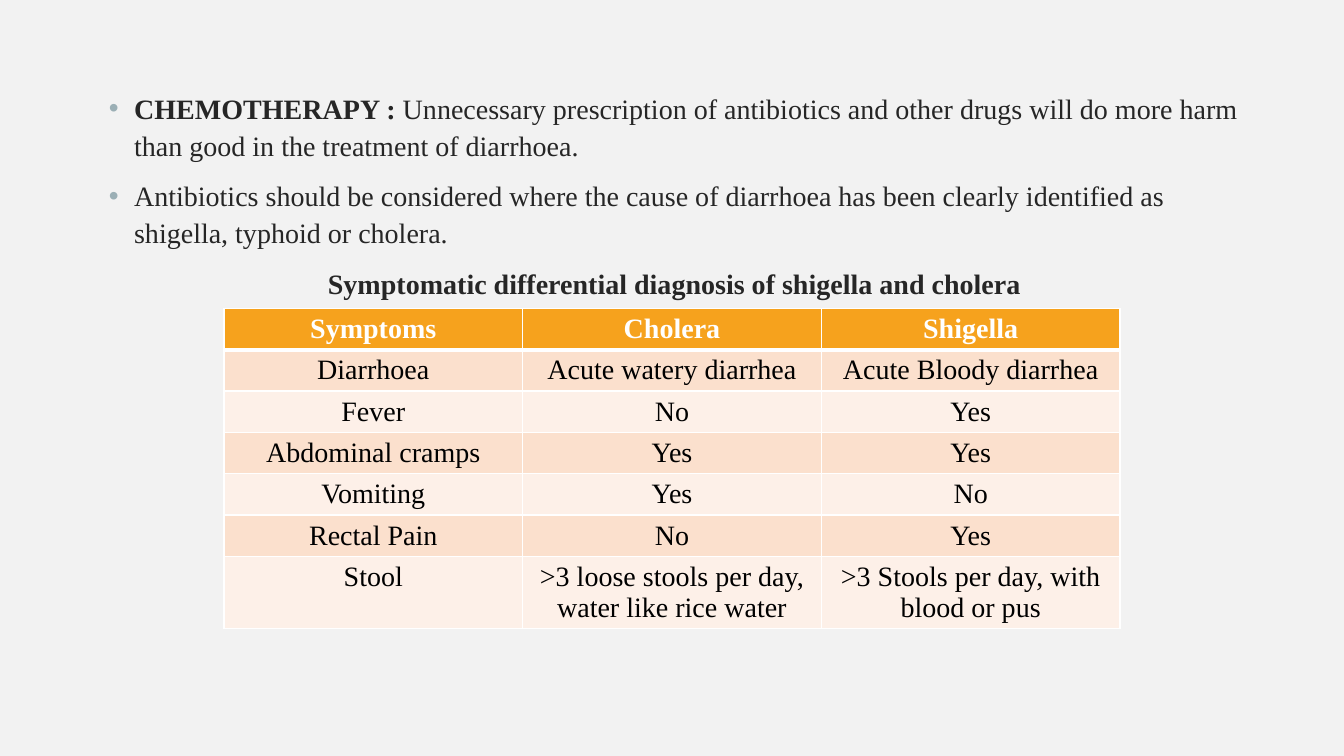
from lxml.etree import SubElement
from pptx import Presentation
from pptx.dml.color import RGBColor
from pptx.enum.text import MSO_ANCHOR, MSO_AUTO_SIZE, PP_ALIGN
from pptx.oxml.ns import qn
from pptx.util import Inches, Pt

BACKGROUND = RGBColor(0xF2, 0xF2, 0xF2)
BODY_TEXT = RGBColor(0x26, 0x26, 0x26)
BULLET = RGBColor(0x9B, 0xAF, 0xB5)
HEADER_FILL = RGBColor(0xF6, 0xA2, 0x1D)
BAND_FILLS = RGBColor(0xFD, 0xF0, 0xE8), RGBColor(0xFB, 0xE0, 0xCD)
WHITE = RGBColor(0xFF, 0xFF, 0xFF)
BLACK = RGBColor(0, 0, 0)

WIDTH, HEIGHT = Inches(13.33), Inches(7.5)
ROW_HEIGHT, TALL_ROW_HEIGHT = Inches(0.41), Inches(0.71)

# Each paragraph: bold lead, plain text, bulleted
PARAGRAPHS = [
    ("CHEMOTHERAPY : ",
     "Unnecessary prescription of antibiotics and other drugs will do more harm "
     "than good in the treatment of diarrhoea.", True),
    ("",
     "Antibiotics should be considered where the cause of diarrhoea has been "
     "clearly identified as shigella, typhoid or cholera.", True),
    ("Symptomatic differential diagnosis of shigella and cholera", "", False),
]
SYMPTOMS = [
    ("Symptoms", "Cholera", "Shigella"),
    ("Diarrhoea", "Acute watery diarrhea", "Acute Bloody diarrhea"),
    ("Fever", "No", "Yes"),
    ("Abdominal cramps", "Yes", "Yes"),
    ("Vomiting", "Yes", "No"),
    ("Rectal Pain", "No", "Yes"),
    ("Stool", ">3 loose stools per day, water like rice water",
     ">3 Stools per day, with blood or pus"),
]


def format_font(font, color, bold):
    font.name = "Times New Roman"
    font.size = Pt(20)
    font.bold = bold
    font.color.rgb = color


def set_bullet(para, bulleted):
    props = para._p.get_or_add_pPr()
    indent = Inches(0.25) if bulleted else 0
    props.set("marL", str(indent))
    props.set("indent", str(-indent))
    if bulleted:
        color = SubElement(props, qn("a:buClr"))
        SubElement(color, qn("a:srgbClr"), val=str(BULLET))
        SubElement(props, qn("a:buFont"), typeface="Arial")
        SubElement(props, qn("a:buChar"), char="•")
    else:
        SubElement(props, qn("a:buNone"))


def fill_body(body):
    body.left, body.top = Inches(0.98), Inches(0.82)
    body.width, body.height = Inches(11.42), Inches(5.91)
    frame = body.text_frame
    frame.word_wrap = True
    frame.auto_size = MSO_AUTO_SIZE.NONE
    frame.vertical_anchor = MSO_ANCHOR.TOP
    for index, (lead, text, bulleted) in enumerate(PARAGRAPHS):
        para = frame.add_paragraph() if index else frame.paragraphs[0]
        set_bullet(para, bulleted)
        para.alignment = PP_ALIGN.LEFT if bulleted else PP_ALIGN.CENTER
        para.line_spacing = 1.1
        para.space_before = Pt(10 if index else 0)
        for content, bold in ((lead, True), (text, False)):
            if content:
                span = para.add_run()
                span.text = content
                format_font(span.font, BODY_TEXT, bold)


def set_borders(cell, bottom_width):
    """Draw white borders; they must precede the cell's fill in the XML."""
    props = cell._tc.get_or_add_tcPr()
    for side, width in (("L", 1), ("R", 1), ("T", 1), ("B", bottom_width)):
        line = SubElement(props, qn(f"a:ln{side}"), w=str(Pt(width)))
        fill = SubElement(line, qn("a:solidFill"))
        SubElement(fill, qn("a:srgbClr"), val=str(WHITE))


def format_cell(cell, text, row):
    header = row == 0
    set_borders(cell, 3 if header else 1)
    cell.fill.solid()
    cell.fill.fore_color.rgb = HEADER_FILL if header else BAND_FILLS[row % 2]
    cell.text_frame.text = text
    para = cell.text_frame.paragraphs[0]
    para.alignment = PP_ALIGN.CENTER
    format_font(para.runs[0].font, WHITE if header else BLACK, header)


def add_symptom_table(page):
    count = len(SYMPTOMS)
    height = ROW_HEIGHT * (count - 1) + TALL_ROW_HEIGHT
    table = page.shapes.add_table(
        count, len(SYMPTOMS[0]), WIDTH // 6, Inches(3.06), WIDTH * 2 // 3, height
    ).table
    for row, texts in enumerate(SYMPTOMS):
        last = row == count - 1
        table.rows[row].height = TALL_ROW_HEIGHT if last else ROW_HEIGHT
        for column, text in enumerate(texts):
            format_cell(table.cell(row, column), text, row)


def main():
    deck = Presentation()
    deck.slide_width, deck.slide_height = WIDTH, HEIGHT
    page = deck.slides.add_slide(deck.slide_layouts[1])
    page.background.fill.solid()
    page.background.fill.fore_color.rgb = BACKGROUND
    title = page.shapes.title
    title.element.getparent().remove(title.element)
    fill_body(page.placeholders[1])
    add_symptom_table(page)
    deck.save("out.pptx")


if __name__ == "__main__":
    main()
